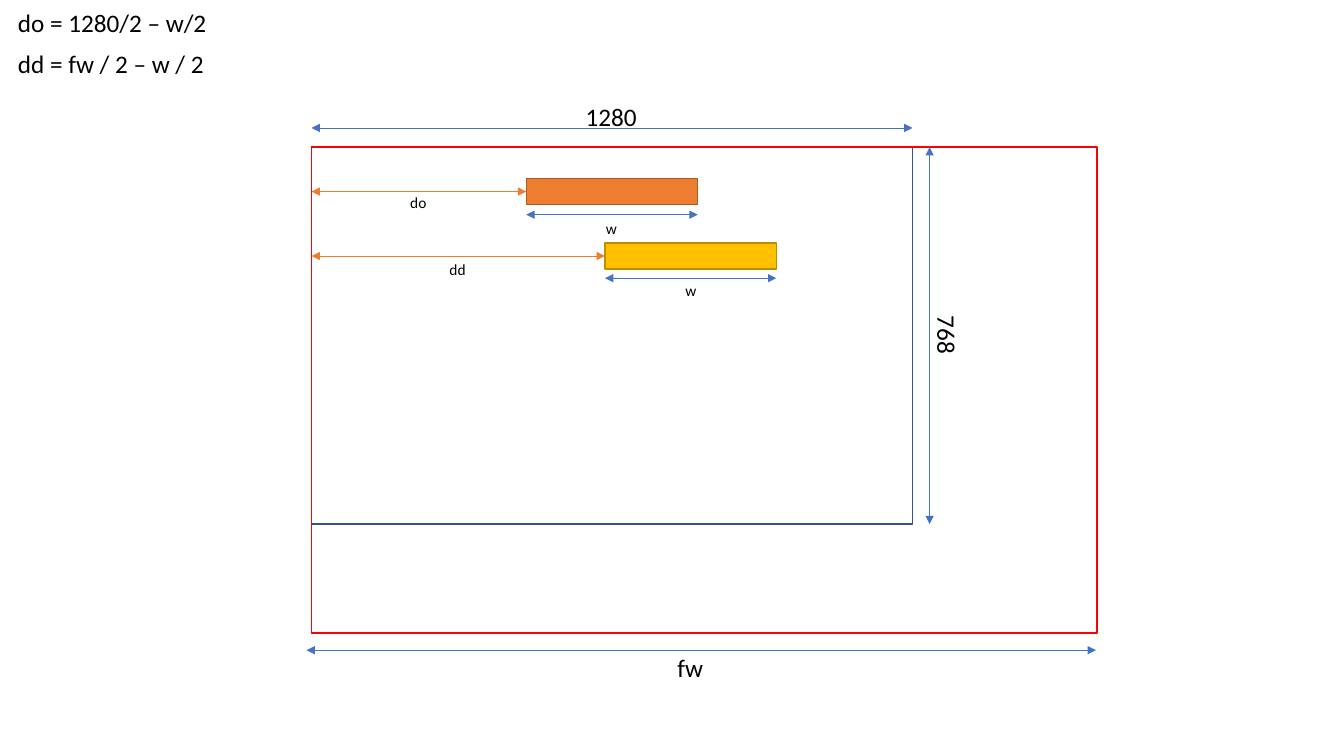
from lxml.etree import SubElement
from pptx import Presentation
from pptx.dml.color import RGBColor
from pptx.enum.shapes import MSO_CONNECTOR, MSO_SHAPE
from pptx.enum.text import MSO_AUTO_SIZE
from pptx.oxml.ns import qn
from pptx.util import Inches, Pt

BLUE, ORANGE = "4472C4", "ED7D31"
LEFT, TOP = 3.09, 1.46
SCREEN_W, SCREEN_H = 5.96, 3.74
FRAME_W, FRAME_H = 7.79, 4.82
BAR_W, BAR_H = 1.7, 0.26

prs = Presentation()
prs.slide_width, prs.slide_height = Inches(13.33), Inches(7.5)
slide = prs.slides.add_slide(prs.slide_layouts[6])
shapes = slide.shapes


def color(hex_value):
    return RGBColor.from_string(hex_value)


def add_arrow(x1, y1, x2, y2, line_color):
    """Draw a thin dimension line with a triangle at both ends."""
    arrow = shapes.add_connector(
        MSO_CONNECTOR.STRAIGHT, Inches(x1), Inches(y1), Inches(x2), Inches(y2))
    arrow.line.color.rgb = color(line_color)
    arrow.line.width = Pt(0.5)
    line_xml = arrow.line._get_or_add_ln()
    for end in ("a:headEnd", "a:tailEnd"):
        SubElement(line_xml, qn(end), type="triangle")
    SubElement(arrow._element.spPr, qn("a:effectLst"))
    return arrow


# Screen, full frame and the two centred bars
bars = []
for left, top, width, height, fill, outline in [
    (LEFT, TOP, SCREEN_W, SCREEN_H, None, "325491"),
    (LEFT, TOP, FRAME_W, FRAME_H, None, "FF0000"),
    (5.22, 1.77, BAR_W, BAR_H, ORANGE, "AF5C24"),
    (6, 2.41, BAR_W, BAR_H, "FFC000", "BD8E00"),
]:
    box = shapes.add_shape(
        MSO_SHAPE.RECTANGLE, Inches(left), Inches(top), Inches(width), Inches(height))
    box.shadow.inherit = False
    box.line.color.rgb = color(outline)
    box.line.width = Pt(1)
    if fill:
        box.fill.solid()
        box.fill.fore_color.rgb = color(fill)
        bars.append((box, left, top + BAR_H / 2))
    else:
        box.fill.background()

# Offset of each bar from the left edge, and its width
for (bar, bar_left, middle), width_y in zip(bars, (2.13, 2.76)):
    offset = add_arrow(bar_left, middle, LEFT, middle, ORANGE)
    offset.begin_connect(bar, 1)
    add_arrow(bar_left, width_y, bar_left + BAR_W, width_y, BLUE)

# Screen width, screen height and frame width
add_arrow(LEFT, 1.27, LEFT + SCREEN_W, 1.27, BLUE)
add_arrow(9.22, TOP, 9.22, TOP + SCREEN_H, BLUE)
add_arrow(3.04, 6.45, 10.87, 6.45, BLUE)

for text, left, top, width, height, size, rotation in [
    ("do = 1280/2 – w/2", 0.08, 0.02, 2.1, 0.4, 18, 0),
    ("dd = fw / 2 – w / 2", 0.08, 0.43, 2.07, 0.4, 18, 0),
    ("1280", 5.71, 0.96, 0.71, 0.4, 18, 0),
    ("768", 9.1, 3.13, 0.59, 0.4, 18, 90),
    ("fw", 6.62, 6.42, 0.46, 0.4, 18, 0),
    ("do", 3.97, 1.87, 0.36, 0.29, 11, 0),
    ("w", 5.91, 2.12, 0.31, 0.29, 11, 0),
    ("dd", 4.36, 2.53, 0.36, 0.29, 11, 0),
    ("w", 6.7, 2.74, 0.31, 0.29, 11, 0),
]:
    label = shapes.add_textbox(Inches(left), Inches(top), Inches(width), Inches(height))
    label.rotation = rotation
    label.text_frame.word_wrap = False
    label.text_frame.auto_size = MSO_AUTO_SIZE.SHAPE_TO_FIT_TEXT
    run = label.text_frame.paragraphs[0].add_run()
    run.text = text
    run.font.name = "Calibri"
    run.font.size = Pt(size)
    run.font.color.rgb = color("000000")

prs.save("out.pptx")
